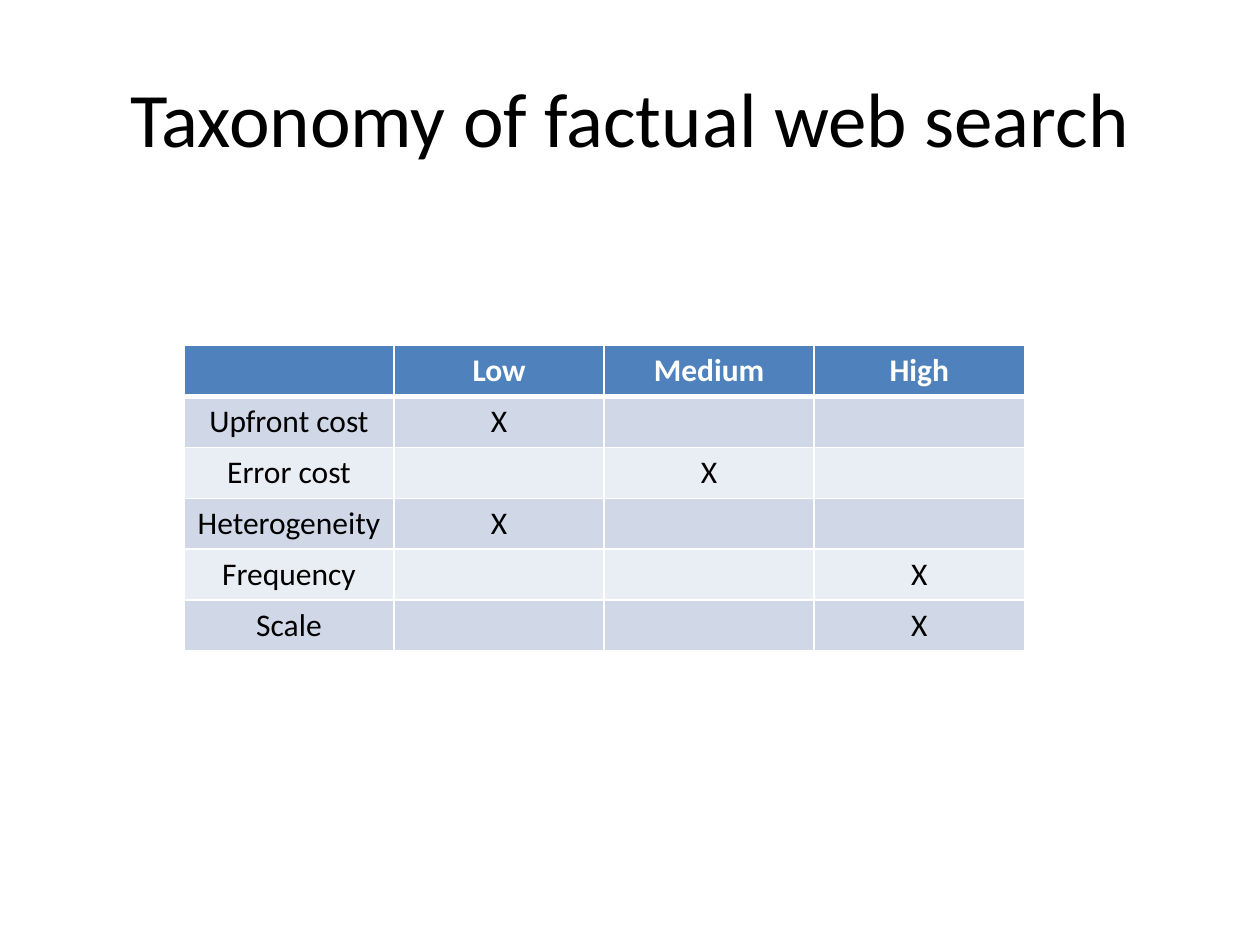
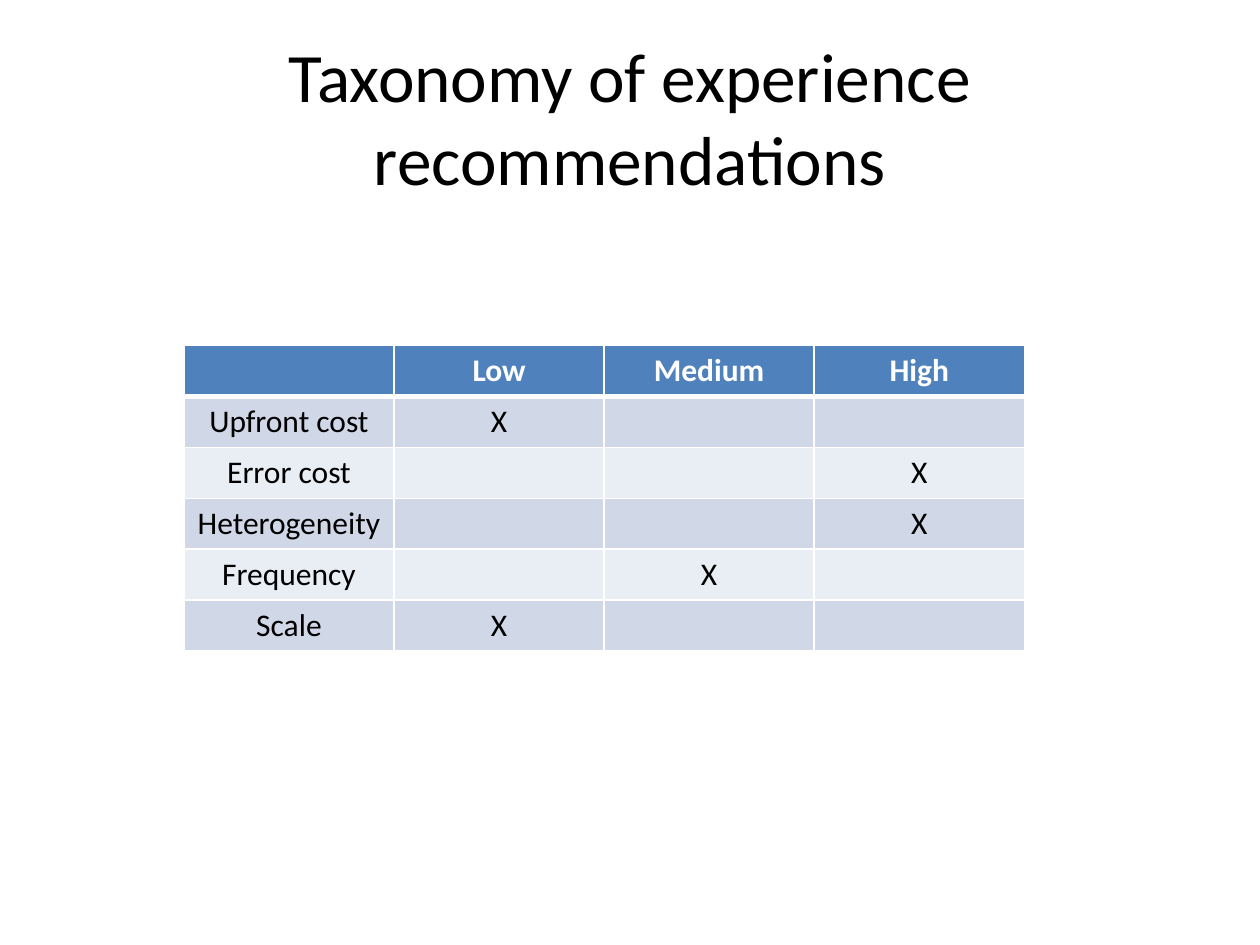
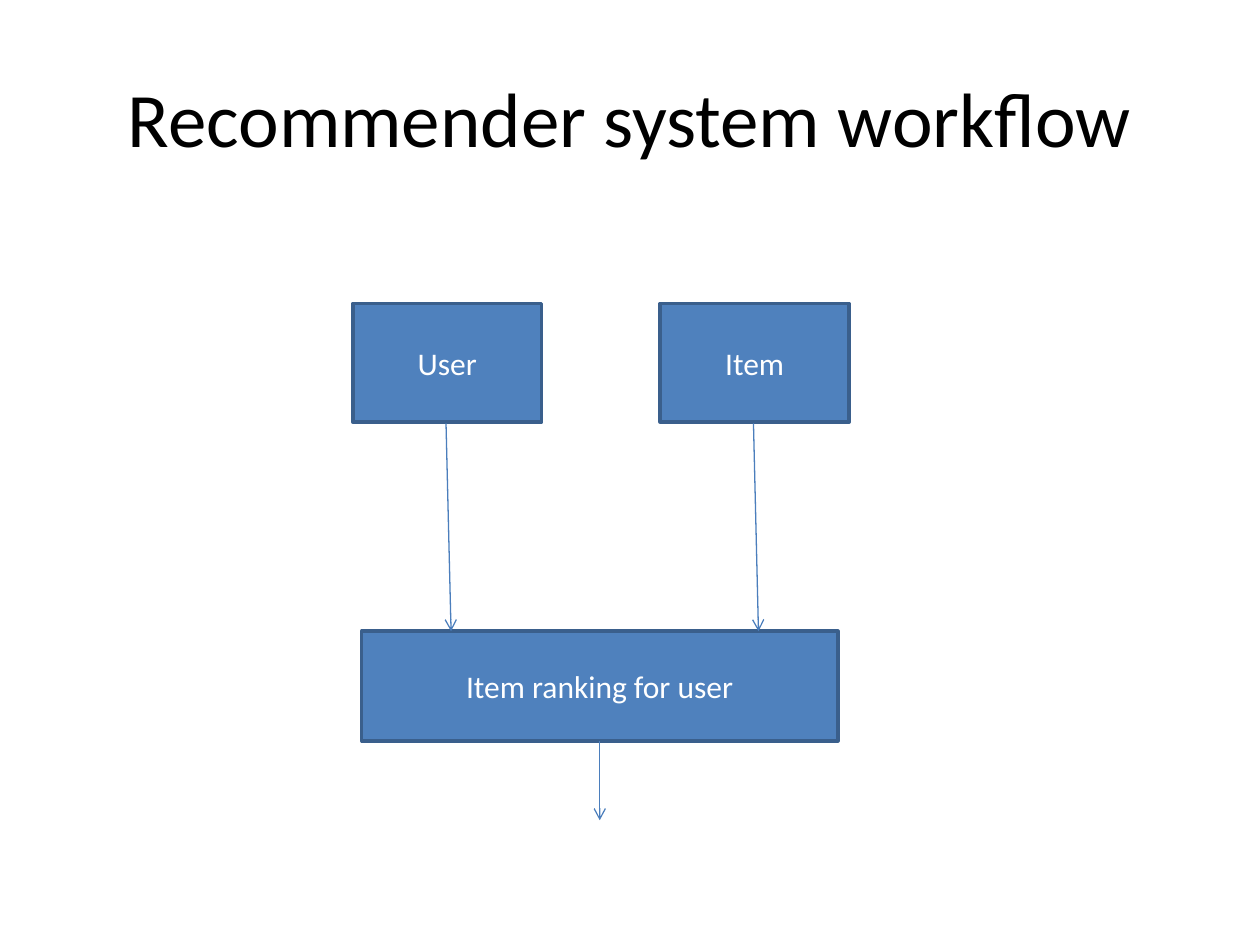
from lxml import etree
from pptx import Presentation
from pptx.dml.color import RGBColor
from pptx.enum.shapes import MSO_CONNECTOR, MSO_SHAPE
from pptx.enum.text import MSO_ANCHOR, PP_ALIGN
from pptx.oxml.ns import qn
from pptx.util import Inches, Pt

LINE = MSO_CONNECTOR.STRAIGHT
RECT = MSO_SHAPE.RECTANGLE
MIDDLE = MSO_ANCHOR.MIDDLE
CENTER = PP_ALIGN.CENTER

BLACK = RGBColor(0x00, 0x00, 0x00)
WHITE = RGBColor(0xFF, 0xFF, 0xFF)
BLUE = RGBColor(0x4F, 0x81, 0xBD)
EDGE = RGBColor(0x3A, 0x5F, 0x8C)
ARROW = RGBColor(0x4B, 0x7E, 0xBC)
BANDS = [RGBColor(0xE9, 0xED, 0xF4), RGBColor(0xD0, 0xD8, 0xE8)]

LEVELS = ["Low", "Medium", "High"]
FACTORS = ["Upfront cost", "Error cost", "Heterogeneity", "Frequency", "Scale"]


def write(frame, text, size, color, bold=False):
    frame.text = text
    par = frame.paragraphs[0]
    par.alignment = CENTER
    for run in par.runs:
        run.font.name = "Calibri"
        run.font.size = Pt(size)
        run.font.bold = bold
        run.font.color.rgb = color


def start(title, size=44):
    slide = deck.slides.add_slide(deck.slide_layouts[6])
    box = slide.shapes.add_textbox(Inches(0.5), Inches(0.3), Inches(9), Inches(1.25))
    box.text_frame.word_wrap = True
    box.text_frame.vertical_anchor = MIDDLE
    write(box.text_frame, title, size, BLACK)
    return slide


deck = Presentation()
deck.slide_width = Inches(10)
deck.slide_height = Inches(7.5)

# Taxonomy slides: each mark is the level of one factor
taxa = [
    ("Taxonomy of factual web search", 44, ["Low", "Medium", "Low", "High", "High"]),
    ("Taxonomy of experience recommendations", 39.6,
     ["Low", "High", "High", "Medium", "Low"]),
]
for title, size, marks in taxa:
    slide = start(title, size)
    rows = [[""] + LEVELS]
    for factor, mark in zip(FACTORS, marks):
        rows.append([factor] + ["X" if level == mark else "" for level in LEVELS])
    table = slide.shapes.add_table(len(rows), len(rows[0]), Inches(1.46), Inches(2.74),
                                   Inches(6.67), Inches(2.43)).table
    for r, row in enumerate(rows):
        head = r == 0
        for c, text in enumerate(row):
            cell = table.cell(r, c)
            write(cell.text_frame, text, 18, WHITE if head else BLACK, head)
            # White borders, thicker under the header
            widths = {"L": 1, "R": 1, "T": 3 if r == 1 else 1, "B": 3 if head else 1}
            props = cell._tc.get_or_add_tcPr()
            for side, width in widths.items():
                edge = etree.SubElement(props, qn("a:ln" + side), w=str(Pt(width)))
                fill = etree.SubElement(edge, qn("a:solidFill"))
                etree.SubElement(fill, qn("a:srgbClr"), val=str(WHITE))
            cell.fill.solid()
            cell.fill.fore_color.rgb = BLUE if head else BANDS[r % 2]

# Workflow slide: boxes
slide = start("Recommender system workflow")
boxes = [
    ("User", 2.8, 2.41, 1.5, 0.94),
    ("Item ranking for user", 2.87, 5.01, 3.78, 0.87),
    ("Item", 5.24, 2.41, 1.5, 0.94),
]
for text, *place in boxes:
    box = slide.shapes.add_shape(RECT, *[Inches(n) for n in place])
    box.shadow.inherit = False
    box.fill.solid()
    box.fill.fore_color.rgb = BLUE
    box.line.color.rgb = EDGE
    box.line.width = Pt(2)
    box.text_frame.vertical_anchor = MIDDLE
    write(box.text_frame, text, 18, WHITE)

# Workflow slide: arrows
arrows = [
    (3.54, 3.36, 3.58, 5.01),
    (5.98, 3.36, 6.02, 5.01),
    (4.76, 5.88, 4.76, 6.51),
]
for ends in arrows:
    arrow = slide.shapes.add_connector(LINE, *[Inches(n) for n in ends])
    arrow.line.color.rgb = ARROW
    arrow.line.width = Pt(0.75)
    etree.SubElement(arrow.line._get_or_add_ln(), qn("a:tailEnd"), type="arrow")
    etree.SubElement(arrow._element.spPr, qn("a:effectLst"))

deck.save("out.pptx")
